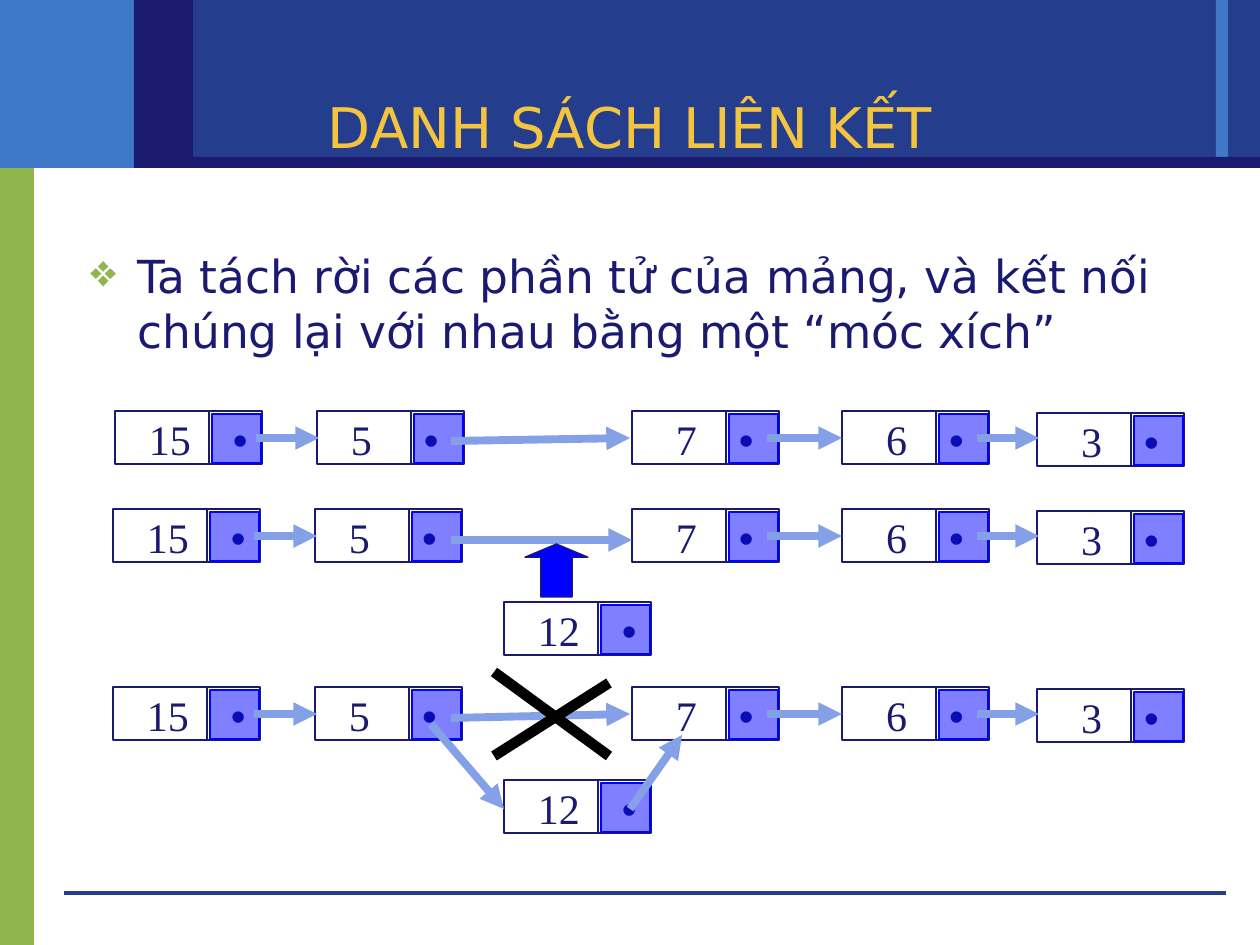
import dataclasses
import itertools

import pptx
import pptx.dml.color
import pptx.enum.shapes
import pptx.enum.text
import pptx.oxml
import pptx.oxml.ns
import pptx.util

SHAPES = pptx.enum.shapes.MSO_SHAPE
ALIGN = pptx.enum.text.PP_ALIGN
ANCHOR = pptx.enum.text.MSO_ANCHOR
NAMESPACE = pptx.oxml.ns.nsdecls("a")
EMU_PER_PX = 914400 / 126


@dataclasses.dataclass(frozen=True)
class Theme:
    navy: str = "1A1A70"
    royal: str = "243D8C"
    sky: str = "3E78C6"
    green: str = "90B54D"
    gold: str = "F3C43F"
    blue: str = "0000FF"
    link: str = "84A1E8"
    black: str = "000000"
    title_size: int = 32
    body_size: int = 26
    node_size: int = 24
    thin: float = 0.75
    link_width: float = 4.5
    cross_width: float = 6
    heading_font: str = "DejaVu Sans"
    number_font: str = "Times New Roman"
    dot_font: str = "Arial"


def px(length):
    return pptx.util.Emu(round(length * EMU_PER_PX))


def rgb(value):
    return pptx.dml.color.RGBColor.from_string(value)


def assign(target, values):
    for name, value in values.items():
        setattr(target, name, value)


def add_xml(parent, markup):
    """Append one DrawingML element, written without its namespace."""
    tag, rest = markup.split(" ", 1)
    element = pptx.oxml.parse_xml(f"{tag} {NAMESPACE} {rest}")
    parent.append(element)
    return element


class Slide:
    NODE_WIDTH, NODE_HEIGHT, DIVIDER = 147, 53, 94

    def __init__(self, deck, theme):
        self.theme = theme
        self.page = deck.slides.add_slide(deck.slide_layouts[6])

    def block(self, area, fill=None, outline=None, opacity=100, kind=SHAPES.RECTANGLE):
        shape = self.page.shapes.add_shape(kind, *map(px, area))
        shape.shadow.inherit = False
        if fill:
            shape.fill.solid()
            shape.fill.fore_color.rgb = rgb(fill)
            if opacity < 100:
                color = shape.fill._xPr.find(".//" + pptx.oxml.ns.qn("a:srgbClr"))
                add_xml(color, f'<a:alpha val="{opacity * 1000}"/>')
        else:
            shape.fill.background()
        if outline:
            shape.line.color.rgb = rgb(outline)
            shape.line.width = pptx.util.Pt(self.theme.thin)
        else:
            shape.line.fill.background()
        return shape

    def line(self, start, end, color, width, arrow=False):
        connector = self.page.shapes.add_connector(
            pptx.enum.shapes.MSO_CONNECTOR.STRAIGHT, *map(px, start + end))
        connector.line.color.rgb = rgb(color)
        connector.line.width = pptx.util.Pt(width)
        if arrow:
            add_xml(connector.line._ln, '<a:tailEnd type="triangle"/>')
        add_xml(connector._element.spPr, "<a:effectLst />")

    def link(self, start, end):
        self.line(start, end, self.theme.link, self.theme.link_width, arrow=True)

    def text(self, area, spans, size, color, frame=None, para_format=None):
        """Add one paragraph made of (wording, font) spans."""
        box = self.page.shapes.add_textbox(*map(px, area))
        assign(box.text_frame, {"word_wrap": True, **(frame or {})})
        para = box.text_frame.paragraphs[0]
        assign(para, para_format or {})
        for wording, font in spans:
            span = para.add_run()
            span.text = wording
            assign(span.font, {"name": font, "size": pptx.util.Pt(size)})
            span.font.color.rgb = rgb(color)
        return para

    def bullet(self, para, mark, color, indent):
        properties = para._p.get_or_add_pPr()
        properties.set("marL", str(px(indent)))
        properties.set("indent", str(-px(indent)))
        add_xml(properties, f'<a:buClr ><a:srgbClr val="{color}"/></a:buClr>')
        add_xml(properties, f'<a:buChar char="{mark}"/>')

    def node(self, left, top, number):
        """A list element: its value on the left, its pointer cell on the right."""
        theme = self.theme
        self.block((left, top, self.NODE_WIDTH, self.NODE_HEIGHT), outline=theme.navy)
        divider = left + self.DIVIDER
        self.line((divider, top), (divider, top + self.NODE_HEIGHT), theme.navy, theme.thin)
        inset = 34 if number in ("5", "12", "15") else 44
        dot = 118 if len(number) == 2 else 107
        para = self.text(
            (left, top - 4, self.NODE_WIDTH, 63),
            [(number + "\t", theme.number_font), ("•", theme.dot_font)],
            theme.node_size, theme.navy,
            {"margin_left": px(inset), "margin_right": 0})
        add_xml(para._p.get_or_add_pPr(),
                f'<a:tabLst ><a:tab pos="{px(dot - inset)}" algn="l"/></a:tabLst>')
        self.block((left + 97, top + 3, 49, 49), theme.blue, theme.blue, opacity=50)

    def chain(self, top, shift, long_link):
        """A row of five nodes; shift moves the first two sideways."""
        lefts = (113 + shift, 315 + shift, 632, 842, 1037)
        tops = (top, top, top, top, top + 2)
        for left, node_top, number in zip(lefts, tops, ("15", "5", "7", "6", "3")):
            self.node(left, node_top, number)
        for index, (left, following) in enumerate(itertools.pairwise(lefts)):
            if index != 1:
                self.link((left + 135 + 6 * (index == 0), top + 27),
                          (following + 2 * (index != 2), top + 27))
        self.link(*long_link)


def main():
    theme = Theme()
    deck = pptx.Presentation()
    assign(deck, {"slide_width": px(1260), "slide_height": px(945)})
    slide = Slide(deck, theme)

    # Banner, side bar and footer rule
    for area, color in (
        ((0, 134, 34, 811), theme.green),
        ((0, 0, 193, 168), theme.sky),
        ((193, 0, 1067, 168), theme.royal),
        ((1216, 0, 12, 158), theme.sky),
        ((136, 157, 1124, 11), theme.navy),
        ((134, 0, 59, 168), theme.navy),
    ):
        slide.block(area, color)
    slide.line((64, 893), (1226, 893), theme.royal, 0)

    # Title and statement
    slide.text((79, 42, 1103, 168), [("DANH SÁCH LIÊN KẾT", theme.heading_font)],
               theme.title_size, theme.gold,
               {"vertical_anchor": ANCHOR.MIDDLE}, {"alignment": ALIGN.CENTER})
    statement = slide.text(
        (78, 242, 1129, 147),
        [("Ta tách rời các phần tử của mảng, và kết nối chúng lại với nhau "
          "bằng một “móc xích”", theme.heading_font)],
        theme.body_size, theme.navy, para_format={"space_before": pptx.util.Pt(6.5)})
    slide.bullet(statement, "❖", theme.green, 47)

    # The list before, during and after the insertion
    slide.chain(411, 2, ((451, 441), (630, 438)))
    slide.chain(509, 0, ((451, 540), (632, 540)))
    slide.chain(687, 0, ((451, 718), (630, 714)))

    # The new element
    for top in (602, 780):
        slide.node(504, top, "12")
    arrow = slide.block((525, 544, 63, 53), theme.blue, theme.navy, kind=SHAPES.UP_ARROW)
    arrow.adjustments[0], arrow.adjustments[1] = 0.5, 0.25

    # Old link crossed out, new links in its place
    slide.link((630, 809), (682, 735))
    for start, end in (((609, 683), (494, 756)), ((494, 672), (609, 756))):
        slide.line(start, end, theme.black, theme.cross_width)
    slide.link((431, 724), (504, 809))

    deck.save("out.pptx")


if __name__ == "__main__":
    main()
